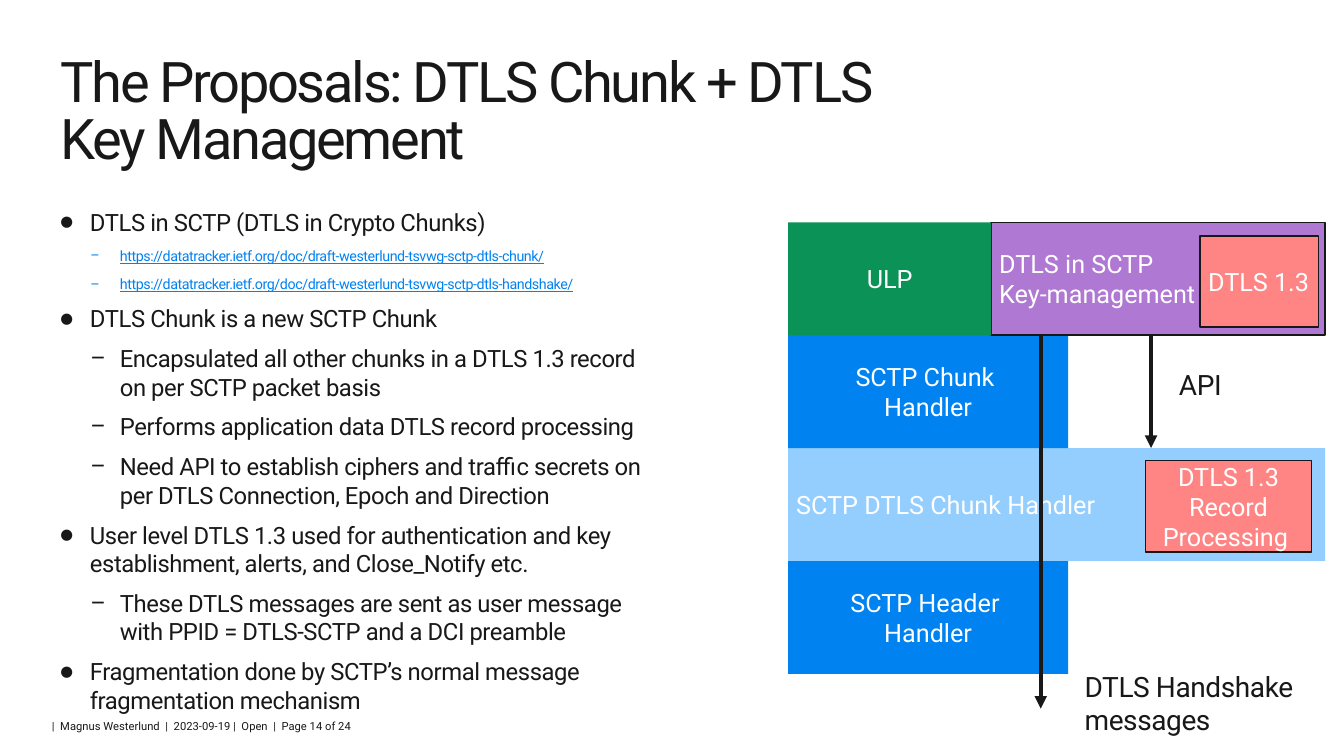
from dataclasses import dataclass

from lxml.etree import SubElement
from pptx import Presentation
from pptx.dml.color import RGBColor
from pptx.enum.shapes import MSO_CONNECTOR, MSO_SHAPE
from pptx.enum.text import MSO_ANCHOR, PP_ALIGN
from pptx.oxml.ns import qn
from pptx.util import Pt

COLORS = {
    "ink": "181818", "white": "FFFFFF", "blue": "0082F0", "sky": "93CEFF",
    "green": "0B9256", "purple": "AF78D2", "coral": "FF8484",
}
FONT = "Roboto"

STACK_LEFT, STACK_TOP, LAYER_HEIGHT = 563, 158.8, 80.64
LAYER_TOPS = [STACK_TOP + LAYER_HEIGHT * row for row in range(4)]
API_TOP, CHUNK_TOP, HEADER_TOP = LAYER_TOPS[1:]


@dataclass
class Style:
    size: float
    color: str = "ink"
    spacing: float = 0
    underline: bool = False


@dataclass
class Block:
    text: str
    left: float
    top: float
    width: float
    height: float
    fill: str
    outlined: bool = False
    centered: bool = True


@dataclass
class Label:
    text: str
    left: float
    top: float
    width: float
    height: float
    style: Style
    line_spacing: float = 1.0
    space_before: float = 8
    inset: bool = True


@dataclass
class Bullet:
    text: str
    level: int = 0
    link: bool = False


@dataclass
class Arrow:
    x: float
    top: float
    bottom: float


BLOCK_STYLE = Style(18, "white")
BODY_STYLE = Style(17, spacing=-0.3)
LINK_STYLE = Style(10.2, "blue", -0.3, True)
NOTE_STYLE = Style(20, spacing=-0.3)

BLOCKS = [
    Block("SCTP DTLS Chunk Handler", STACK_LEFT, CHUNK_TOP, 383.5, LAYER_HEIGHT, "sky", centered=False),
    Block("DTLS 1.3\nRecord\nProcessing ", 818.3, 329, 118.5, 65.3, "coral", outlined=True),
    Block("SCTP Header \nHandler", STACK_LEFT, HEADER_TOP, 200, LAYER_HEIGHT, "blue"),
    Block("SCTP Chunk \nHandler", STACK_LEFT, API_TOP, 200, LAYER_HEIGHT, "blue"),
    Block("DTLS in SCTP \nKey-management", 708, STACK_TOP, 238.5, LAYER_HEIGHT, "purple", True, False),
    Block("ULP", STACK_LEFT, STACK_TOP, 145, LAYER_HEIGHT, "green"),
    Block("DTLS 1.3", 857.2, 168.7, 84.5, 64.8, "coral", True, False),
]

LABELS = [
    Label("  |  Magnus Westerlund  |  2023-09-19 |  Open  |  Page 14 of 24",
          33.1, 514.1, 250, 9.4, Style(8), space_before=0, inset=False),
    Label("The Proposals: DTLS Chunk + DTLS Key Management",
          37.4, 37.4, 658, 85, Style(40, spacing=-1.6), 0.85, 3),
    Label("API", 836.4, 259.6, 65.5, 42, NOTE_STYLE),
    Label("DTLS Handshake \nmessages", 769, 475.2, 180, 72, NOTE_STYLE),
]

ARROWS = [Arrow(822.2, API_TOP, CHUNK_TOP), Arrow(743.4, API_TOP, 506.2)]

BULLETS = [
    Bullet("DTLS in SCTP (DTLS in Crypto Chunks)"),
    Bullet("https://datatracker.ietf.org/doc/draft-westerlund-tsvwg-sctp-dtls-chunk/", 1, True),
    Bullet("https://datatracker.ietf.org/doc/draft-westerlund-tsvwg-sctp-dtls-handshake/", 1, True),
    Bullet("DTLS Chunk is a new SCTP Chunk"),
    Bullet("Encapsulated all other chunks in a DTLS 1.3 record on per SCTP packet basis", 1),
    Bullet("Performs application data DTLS record processing", 1),
    Bullet("Need API to establish ciphers and traffic secrets on per DTLS Connection, Epoch and Direction", 1),
    Bullet("User level DTLS 1.3 used for authentication and key establishment, alerts, and Close_Notify etc."),
    Bullet("These DTLS messages are sent as user message with PPID = DTLS-SCTP and a DCI preamble", 1),
    Bullet("Fragmentation done by SCTP’s normal message fragmentation mechanism"),
]


def rgb(name: str) -> RGBColor:
    return RGBColor.from_string(COLORS[name])


def add_text(para, text: str, style: Style) -> None:
    """Add one run per line, with line breaks between them."""
    for number, line in enumerate(text.split("\n")):
        if number:
            para.add_line_break()
        span = para.add_run()
        span.text = line
        span.font.name = FONT
        span.font.size = Pt(style.size)
        span.font.color.rgb = rgb(style.color)
        if style.underline:
            span.font.underline = True
        if style.spacing:
            span.font._element.set("spc", str(round(style.spacing * 100)))


def set_frame(frame, inset: bool = True) -> None:
    frame.word_wrap = True
    frame.margin_left = frame.margin_right = Pt(5.76 if inset else 0)
    frame.margin_top = frame.margin_bottom = Pt(2.88 if inset else 0)


def add_block(page, block: Block) -> None:
    box = page.shapes.add_shape(
        MSO_SHAPE.RECTANGLE, Pt(block.left), Pt(block.top), Pt(block.width), Pt(block.height))
    box.shadow.inherit = False
    box.fill.solid()
    box.fill.fore_color.rgb = rgb(block.fill)
    if block.outlined:
        box.line.color.rgb = rgb("ink")
        box.line.width = Pt(1)
    else:
        box.line.fill.background()
    set_frame(box.text_frame)
    box.text_frame.vertical_anchor = MSO_ANCHOR.MIDDLE
    para = box.text_frame.paragraphs[0]
    para.alignment = PP_ALIGN.CENTER if block.centered else PP_ALIGN.LEFT
    para.space_before = Pt(8)
    add_text(para, block.text, BLOCK_STYLE)


def add_label(page, label: Label) -> None:
    box = page.shapes.add_textbox(Pt(label.left), Pt(label.top), Pt(label.width), Pt(label.height))
    set_frame(box.text_frame, label.inset)
    para = box.text_frame.paragraphs[0]
    para.line_spacing = label.line_spacing
    para.space_before = Pt(label.space_before)
    add_text(para, label.text, label.style)


def add_bullets(page, bullets: list[Bullet]) -> None:
    box = page.shapes.add_textbox(Pt(37.4), Pt(145.4), Pt(430.6), Pt(345.6))
    set_frame(box.text_frame)
    for number, bullet in enumerate(bullets):
        para = box.text_frame.add_paragraph() if number else box.text_frame.paragraphs[0]
        para.level = bullet.level
        para.space_before = Pt(8)
        properties = para._p.get_or_add_pPr()
        properties.set("marL", str(Pt(21.1 + 21.4 * bullet.level)))
        properties.set("indent", str(-Pt(21.1)))
        SubElement(properties, qn("a:buSzPct"), val="100000" if bullet.level else "62000")
        SubElement(properties, qn("a:buFont"), typeface=FONT)
        SubElement(properties, qn("a:buChar"), char="–" if bullet.level else "●")
        add_text(para, bullet.text, LINK_STYLE if bullet.link else BODY_STYLE)


def add_arrow(page, arrow: Arrow) -> None:
    line = page.shapes.add_connector(
        MSO_CONNECTOR.STRAIGHT, Pt(arrow.x), Pt(arrow.top), Pt(arrow.x), Pt(arrow.bottom))
    line.line.color.rgb = rgb("ink")
    line.line.width = Pt(3)
    SubElement(line.line._get_or_add_ln(), qn("a:tailEnd"), type="triangle")
    SubElement(line._element.spPr, qn("a:effectLst"))


def main() -> None:
    deck = Presentation()
    deck.slide_width, deck.slide_height = Pt(960), Pt(540)
    page = deck.slides.add_slide(deck.slide_layouts[6])
    for block in BLOCKS:
        add_block(page, block)
    for arrow in ARROWS:
        add_arrow(page, arrow)
    for label in LABELS:
        add_label(page, label)
    add_bullets(page, BULLETS)
    deck.save("out.pptx")


if __name__ == "__main__":
    main()
